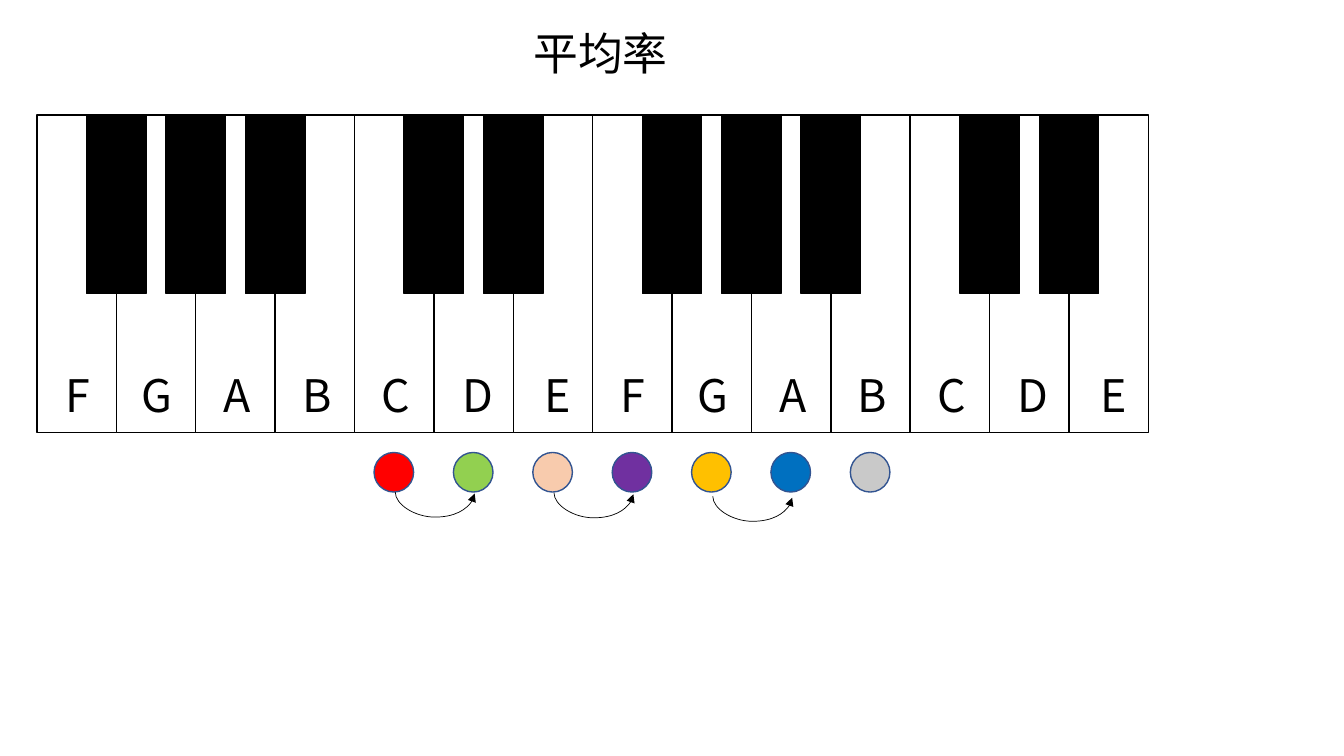
from dataclasses import dataclass

from lxml import etree
from pptx import Presentation
from pptx.dml.color import RGBColor
from pptx.enum.shapes import MSO_CONNECTOR, MSO_SHAPE
from pptx.enum.text import MSO_ANCHOR, MSO_AUTO_SIZE, PP_ALIGN
from pptx.oxml.ns import qn
from pptx.util import Pt

RECT, OVAL = MSO_SHAPE.RECTANGLE, MSO_SHAPE.OVAL
CURVE = MSO_CONNECTOR.CURVE
LEFT, TOP = PP_ALIGN.LEFT, MSO_ANCHOR.TOP
FIT = MSO_AUTO_SIZE.SHAPE_TO_FIT_TEXT


@dataclass(frozen=True)
class Theme:
    font: str = "Noto Sans CJK JP"
    size: float = 32
    black: str = "000000"
    white: str = "FFFFFF"
    dot_line: str = "325491"
    dots: tuple = ("FF0000", "92D050", "F8CBAD", "7030A0",
                   "FFC000", "0070C0", "C9C9C9")


THEME = Theme()
NOTES = "FGABCDE" * 2
NO_SHARP = "BE"
KEY_W = 56.7
# Left offset in the key and width of each note's label
LABELS = {"F": (13, 34.6), "G": (11, 38.2), "A": (13, 35.3), "B": (12.2, 36.7),
          "C": (12.2, 36.7), "D": (13, 38.9), "E": (15.1, 34.6)}


def rgb(value):
    return RGBColor.from_string(value)


def add_filled(slide, kind, x, y, w, h, fill, line):
    sp = slide.shapes.add_shape(kind, Pt(x), Pt(y), Pt(w), Pt(h))
    sp.shadow.inherit = False
    sp.fill.solid()
    sp.fill.fore_color.rgb = rgb(fill)
    sp.line.color.rgb = rgb(line)
    sp.line.width = Pt(1)


def write(sp, text):
    """Put one unwrapped, left-aligned line into a text shape."""
    tf = sp.text_frame
    tf.word_wrap = False
    tf.auto_size = FIT
    tf.vertical_anchor = TOP
    p = tf.paragraphs[0]
    p.alignment = LEFT
    p.line_spacing = 1.0
    r = p.add_run()
    r.text = text
    r.font.size = Pt(THEME.size)
    r.font.name = THEME.font
    r.font.color.rgb = rgb(THEME.black)
    ea = etree.SubElement(r.font._element, qn("a:ea"))
    ea.set("typeface", THEME.font)


def add_title(slide, x, y, w, h):
    sp = slide.shapes.title
    sp.left, sp.top, sp.width, sp.height = Pt(x), Pt(y), Pt(w), Pt(h)
    write(sp, "平均率")


def add_keyboard(slide, x, y, h):
    """Draw white keys, then black keys, then the note names."""
    keys = [(x + i * KEY_W, note) for i, note in enumerate(NOTES)]
    for key_x, _ in keys:
        add_filled(slide, RECT, key_x, y, KEY_W, h, THEME.white, THEME.black)
    for key_x, note in keys:
        if note not in NO_SHARP:
            add_filled(slide, RECT, key_x + 35.4, y, 42.5, h * 0.5625,
                       THEME.black, THEME.black)
    for key_x, note in keys:
        dx, w = LABELS[note]
        sp = slide.shapes.add_textbox(Pt(key_x + dx), Pt(y + h - 49.6),
                                      Pt(w), Pt(46))
        write(sp, note)


def add_arc(slide, x, y):
    """Curve from (x, y) down and up to an arrowhead one key to the right."""
    mid_x, rise = x + KEY_W / 2, 1
    top = y + rise / 2 - KEY_W / 2
    cn = slide.shapes.add_connector(CURVE, Pt(mid_x + rise / 2), Pt(top),
                                    Pt(mid_x - rise / 2), Pt(top + KEY_W))
    cn.line.color.rgb = rgb(THEME.black)
    cn.line.width = Pt(0.5)
    sp_pr = cn._element.spPr
    sp_pr.find(qn("a:xfrm")).set("rot", "16200000")
    guides = sp_pr.find(qn("a:prstGeom")).find(qn("a:avLst"))
    etree.SubElement(guides, qn("a:gd"), name="adj1", fmla="val 1800000")
    etree.SubElement(sp_pr.find(qn("a:ln")), qn("a:tailEnd"), type="triangle")
    etree.SubElement(sp_pr, qn("a:effectLst"))


def add_dots(slide, x, y, size):
    """Row of dots, one per key, with arcs joining the first three pairs."""
    for i, colour in enumerate(THEME.dots):
        add_filled(slide, OVAL, x + i * KEY_W, y, size, size,
                   colour, THEME.dot_line)
    for i, drop in enumerate((0, 0.5, 3)):
        add_arc(slide, x + size / 2 + 1 + 2 * i * KEY_W, y + size + drop)


def main():
    prs = Presentation()
    prs.slide_width, prs.slide_height = Pt(960), Pt(540)
    slide = prs.slides.add_slide(prs.slide_layouts[5])
    add_keyboard(slide, 26.5, 82.2, 226.8)
    add_dots(slide, 267.2, 323.2, 28.3)
    add_title(slide, 373.7, 15.1, 111.6, 46)
    prs.save("out.pptx")


if __name__ == "__main__":
    main()
